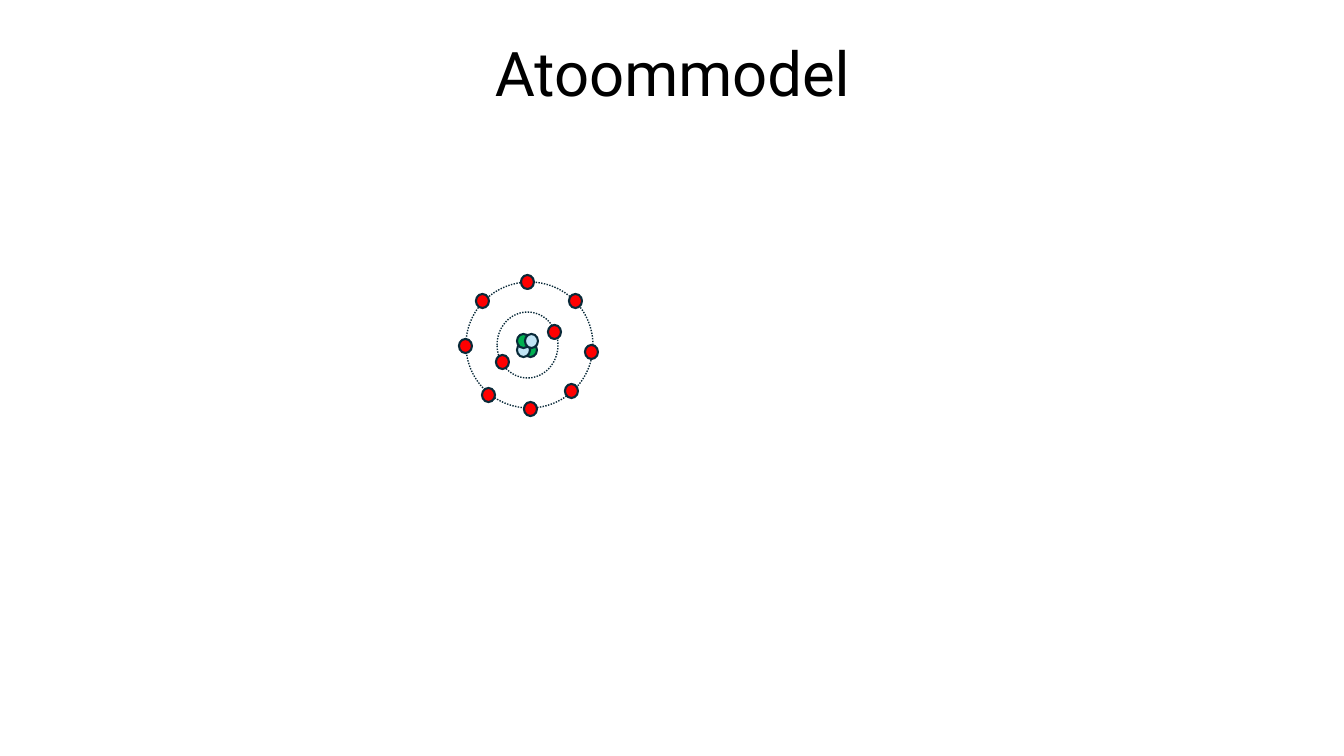
import pptx
import pptx.dml.color
import pptx.enum.dml
import pptx.enum.shapes
import pptx.enum.text
import pptx.util

RGBColor = pptx.dml.color.RGBColor
BLACK = RGBColor(0x00, 0x00, 0x00)
OUTLINE = RGBColor(0x09, 0x2A, 0x39)
PROTON = RGBColor(0x00, 0xB0, 0x50)
NEUTRON = RGBColor(0xC1, 0xE5, 0xF5)
ELECTRON = RGBColor(0xFF, 0x00, 0x00)

INNER_ELECTRONS = [(548, 325), (496, 355)]
OUTER_ELECTRONS = [
    (521, 275), (569, 294), (585, 345), (565, 384),
    (524, 402), (482, 388), (459, 339), (476, 294),
]


def px(length):
    return pptx.util.Emu(round(length * 914400 / 100.8))


class AtomSlide:
    font_name = "Roboto"
    particle_size = (13, 14)

    def __init__(self, slide):
        self.slide = slide

    def title(self, text, left, top, width, height):
        heading = self.slide.shapes.add_textbox(px(left), px(top), px(width), px(height))
        frame = heading.text_frame
        frame.word_wrap = True
        frame.vertical_anchor = pptx.enum.text.MSO_ANCHOR.TOP
        frame.text = text
        paragraph = frame.paragraphs[0]
        paragraph.alignment = pptx.enum.text.PP_ALIGN.CENTER
        font = paragraph.runs[0].font
        font.name = self.font_name
        font.size = pptx.util.Pt(44)
        font.color.rgb = BLACK

    def circle(self, left, top, width, height, line_width):
        circle = self.slide.shapes.add_shape(
            pptx.enum.shapes.MSO_SHAPE.OVAL, px(left), px(top), px(width), px(height))
        circle.shadow.inherit = False
        circle.line.color.rgb = OUTLINE
        circle.line.width = pptx.util.Pt(line_width)
        return circle

    def particle(self, left, top, color):
        particle = self.circle(left, top, *self.particle_size, 1.5)
        particle.fill.solid()
        particle.fill.fore_color.rgb = color

    def shell(self, left, top, width, height, electrons):
        orbit = self.circle(left, top, width, height, 1)
        orbit.fill.background()
        orbit.line.dash_style = pptx.enum.dml.MSO_LINE.ROUND_DOT
        for electron_left, electron_top in electrons:
            self.particle(electron_left, electron_top, ELECTRON)


def main():
    presentation = pptx.Presentation()
    presentation.slide_width = px(1344)
    presentation.slide_height = px(756)
    atom = AtomSlide(presentation.slides.add_slide(presentation.slide_layouts[6]))

    atom.title("Atoommodel", 219, 30, 907, 126)
    atom.particle(524, 343, PROTON)
    atom.particle(517, 343, NEUTRON)
    atom.particle(517, 334, PROTON)
    atom.particle(525, 334, NEUTRON)
    atom.shell(497, 312, 61, 66, INNER_ELECTRONS)
    atom.shell(466, 282, 127, 126, OUTER_ELECTRONS)

    presentation.save("out.pptx")


if __name__ == "__main__":
    main()
